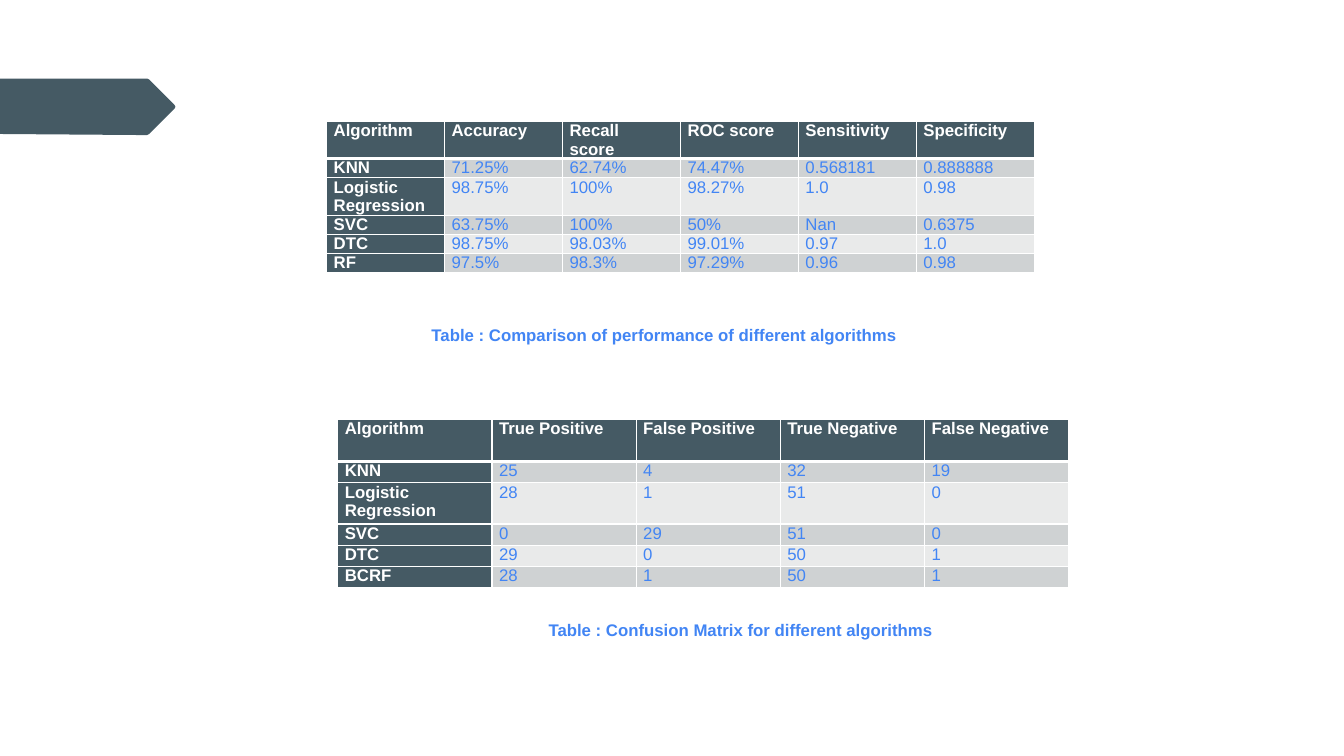
import pptx
import pptx.dml.color
import pptx.enum.text
import pptx.oxml
import pptx.oxml.ns
import pptx.util

PX = 9144
SLIDE_SIZE = (1333, 750)

THEME = {
    "font": "Arial",
    "size": 12,
    "slate": "455A64",
    "blue": "4285F4",
    "white": "FFFFFF",
    "bands": ("CFD2D3", "E9EAEA"),
    "rule": 1,
    "header_rule": 3,
}

MARKER = [
    (0, 78), (146, 78), (148, 79), (173, 104), (174, 106),
    (173, 108), (148, 133), (146, 134), (136, 134), (0, 133),
]

PERFORMANCE = {
    "at": (324, 120),
    "columns": [117] * 6,
    "heights": [37, 19, 37, 19, 19, 19],
    "rows": [
        ("Algorithm", "Accuracy", "Recall\nscore", "ROC score", "Sensitivity", "Specificity"),
        ("KNN", "71.25%", "62.74%", "74.47%", "0.568181", "0.888888"),
        ("Logistic Regression", "98.75%", "100%", "98.27%", "1.0", "0.98"),
        ("SVC", "63.75%", "100%", "50%", "Nan", "0.6375"),
        ("DTC", "98.75%", "98.03%", "99.01%", "0.97", "1.0"),
        ("RF", "97.5%", "98.3%", "97.29%", "0.96", "0.98"),
    ],
    "caption": "Table : Comparison of performance of different algorithms",
    "caption_box": (391, 316, 530, 61),
    "caption_indent": 37,
}

CONFUSION = {
    "at": (335, 416),
    "columns": [153] + [143] * 4,
    "heights": [42, 21, 41, 21, 21, 21],
    "rows": [
        ("Algorithm", "True Positive", "False Positive", "True Negative", "False Negative"),
        ("KNN", "25", "4", "32", "19"),
        ("Logistic Regression", "28", "1", "51", "0"),
        ("SVC", "0", "29", "51", "0"),
        ("DTC", "29", "0", "50", "1"),
        ("BCRF", "28", "1", "50", "1"),
    ],
    "caption": "Table : Confusion Matrix for different algorithms",
    "caption_box": (335, 609, 631, 61),
    "caption_indent": 209,
}


def emu(*lengths):
    return [pptx.util.Emu(length * PX) for length in lengths]


def rgb(name):
    return pptx.dml.color.RGBColor.from_string(name)


def write(frame, text, color, bold):
    for index, line in enumerate(text.split("\n")):
        paragraph = frame.add_paragraph() if index else frame.paragraphs[0]
        run = paragraph.add_run()
        run.text = line
        run.font.name = THEME["font"]
        run.font.size = pptx.util.Pt(THEME["size"])
        run.font.bold = bold
        run.font.color.rgb = rgb(color)


def set_borders(cell, row):
    widths = {side: THEME["rule"] for side in ("lnL", "lnR", "lnT", "lnB")}
    if row == 0:
        widths["lnB"] = THEME["header_rule"]
    if row == 1:
        widths["lnT"] = THEME["header_rule"]
    properties = cell._tc.get_or_add_tcPr()
    for side, width in widths.items():
        properties.append(pptx.oxml.parse_xml(
            f'<a:{side} {pptx.oxml.ns.nsdecls("a")} w="{pptx.util.Pt(width)}">'
            f'<a:solidFill><a:srgbClr val="{THEME["white"]}"/></a:solidFill></a:{side}>'
        ))


def add_results(slide, results):
    rows, columns, heights = results["rows"], results["columns"], results["heights"]
    grid = slide.shapes.add_table(
        len(rows), len(columns), *emu(*results["at"], sum(columns), sum(heights))
    ).table
    grid.first_col = True
    for column, width in zip(grid.columns, columns):
        column.width = emu(width)[0]
    for line, height in zip(grid.rows, heights):
        line.height = emu(height)[0]
    for r, values in enumerate(rows):
        for c, value in enumerate(values):
            cell = grid.cell(r, c)
            heading = r == 0 or c == 0
            cell.margin_left, cell.margin_right = emu(7, 7)
            cell.margin_top = cell.margin_bottom = 0
            set_borders(cell, r)
            cell.fill.solid()
            band = THEME["bands"][(r - 1) % 2]
            cell.fill.fore_color.rgb = rgb(THEME["slate"] if heading else band)
            write(cell.text_frame, value, THEME["white" if heading else "blue"], heading)


def add_caption(slide, results):
    frame = slide.shapes.add_textbox(*emu(*results["caption_box"])).text_frame
    frame.word_wrap = True
    frame.vertical_anchor = pptx.enum.text.MSO_ANCHOR.TOP
    frame.margin_left, frame.margin_top = emu(results["caption_indent"], 6)
    write(frame, results["caption"], THEME["blue"], True)


def add_marker(slide):
    outline = slide.shapes.build_freeform(*MARKER[0], scale=PX)
    outline.add_line_segments(MARKER[1:], close=True)
    marker = outline.convert_to_shape()
    marker.shadow.inherit = False
    marker.fill.solid()
    marker.fill.fore_color.rgb = rgb(THEME["slate"])
    marker.line.fill.background()


def main():
    deck = pptx.Presentation()
    deck.slide_width, deck.slide_height = emu(*SLIDE_SIZE)
    slide = deck.slides.add_slide(deck.slide_layouts[6])
    add_marker(slide)
    for results in (PERFORMANCE, CONFUSION):
        add_results(slide, results)
        add_caption(slide, results)
    deck.save("out.pptx")


if __name__ == "__main__":
    main()
